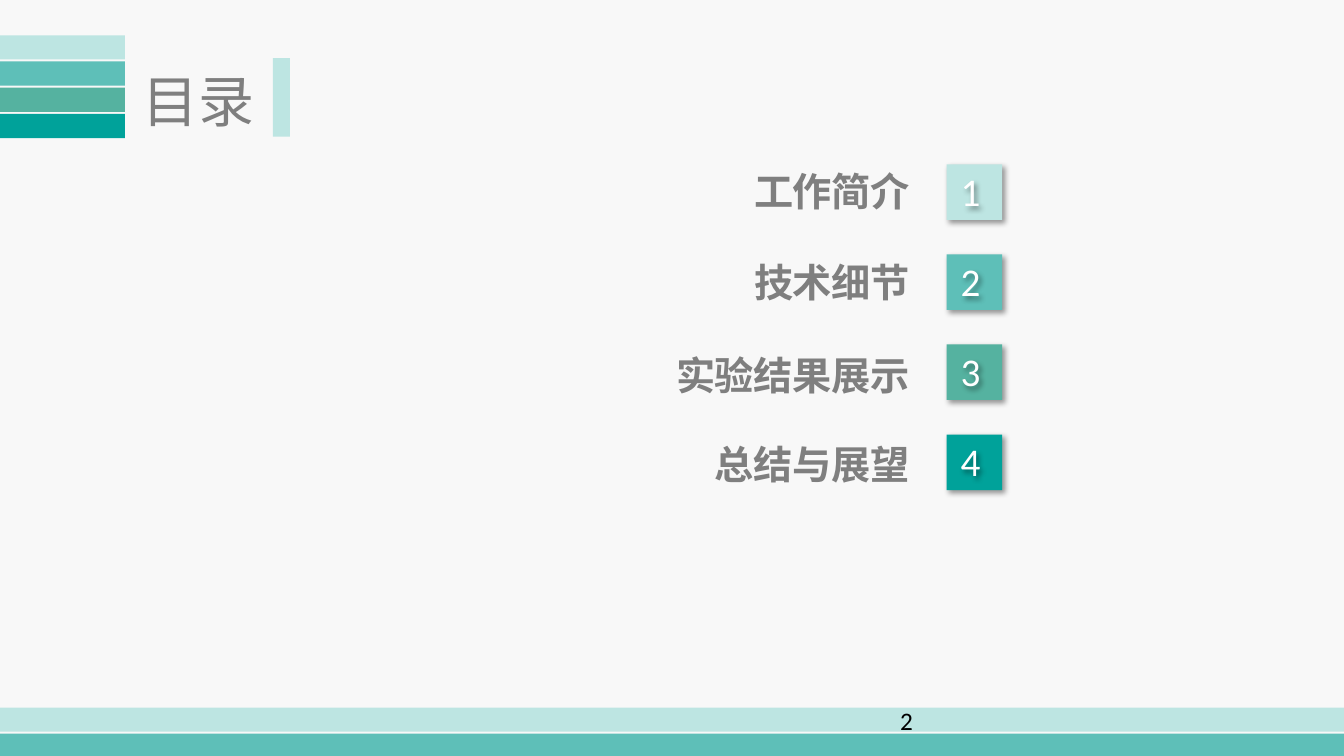
from lxml.etree import SubElement as Sub
from pptx import Presentation
from pptx.dml.color import RGBColor as Rgb
from pptx.enum.shapes import MSO_SHAPE as Kind
from pptx.enum.text import MSO_ANCHOR as Anchor, MSO_AUTO_SIZE as Fit, PP_ALIGN as Align
from pptx.oxml.ns import qn
from pptx.util import Cm, Pt

PALE = Rgb(0xBD, 0xE5, 0xE2)
AQUA = Rgb(0x5E, 0xBF, 0xB8)
SAGE = Rgb(0x55, 0xB2, 0xA0)
TEAL = Rgb(0x00, 0xA2, 0x9A)
BACK = Rgb(0xF8, 0xF8, 0xF8)
GREY = Rgb(0x7F, 0x7F, 0x7F)
WHITE = Rgb(0xFF, 0xFF, 0xFF)
BLACK = Rgb(0x00, 0x00, 0x00)
TONES = [PALE, AQUA, SAGE, TEAL]
HAN = "Noto Sans CJK SC"
LATIN = "Calibri"
WIDE, HIGH = 33.86, 19.05
BAR, STEP = 0.61, 0.66  # stripe height and pitch

# Label, top and width of each entry
ITEMS = [("工作简介", 4.09, 8.79), ("技术细节", 6.38, 7.77),
         ("实验结果展示", 8.74, 15.16), ("总结与展望", 10.97, 12.8)]


def block(slide, x, y, w, h, tone):
    shape = slide.shapes.add_shape(Kind.RECTANGLE, Cm(x), Cm(y), Cm(w), Cm(h))
    shape.shadow.inherit = False
    shape.fill.solid()
    shape.fill.fore_color.rgb = tone
    shape.line.fill.background()
    return shape


def shade(shape):
    """Soft shadow to the lower right."""
    shape.shadow.inherit = False
    list_ = shape.element.spPr.find(qn("a:effectLst"))
    outer = Sub(list_, qn("a:outerShdw"), blurRad=str(Pt(4)), dist=str(Pt(3)),
                dir="2700000", algn="tl", rotWithShape="0")
    color = Sub(outer, qn("a:srgbClr"), val="000000")
    Sub(color, qn("a:alpha"), val="40000")


def write(shape, text, size, tone, face, align=Align.LEFT, bold=False):
    frame = shape.text_frame
    frame.word_wrap = True
    frame.auto_size = Fit.NONE
    frame.vertical_anchor = Anchor.TOP
    para = frame.paragraphs[0]
    para.alignment = align
    run = para.add_run()
    run.text = text
    font = run.font
    font.size, font.bold, font.name = Pt(size), bold, face
    font.color.rgb = tone
    Sub(run._r.get_or_add_rPr(), qn("a:ea"), typeface=face)
    return run


def label(slide, x, y, w, h, *style):
    box = slide.shapes.add_textbox(Cm(x), Cm(y), Cm(w), Cm(h))
    return box, write(box, *style)


def stripes(slide, y, w, tones):
    for i, tone in enumerate(tones):
        block(slide, 0, y + i * STEP, w, BAR, tone)


def header(slide, y):
    stripes(slide, y, 3.15, TONES)
    title = slide.shapes.title
    title.left, title.top = Cm(0.71), Cm(y + 0.66)
    title.width, title.height = Cm(8.56), Cm(1.96)
    write(title, "目录", 40, GREY, HAN, Align.CENTER)
    # Upright bar after the title
    mark = block(slide, 6.1, y + 1.35, 1.98, 0.43, PALE)
    mark.rotation = 90


def agenda(slide, x, y):
    side, pitch, right = 1.4, 2.27, x - 0.67
    for i, ((text, top, w), tone) in enumerate(zip(ITEMS, TONES)):
        _, run = label(slide, right - w, top, w, 1.45, text, 28, GREY, HAN,
                       Align.RIGHT, True)
        run._r.get_or_add_rPr().set("spc", "-10")
        # Numbered square
        row = y + i * pitch
        shade(block(slide, x, row, side, side, tone))
        digit, _ = label(slide, x + 0.1, row - 0.05, 1.52, 1.45,
                         str(i + 1), 28, WHITE, LATIN)
        shade(digit)


def footer(slide, y):
    stripes(slide, y, WIDE, [PALE, AQUA])
    label(slide, 22.43, y - 0.18, 9.09, 1.02, "2", 18, BLACK, LATIN)


def main():
    deck = Presentation()
    deck.slide_width, deck.slide_height = Cm(WIDE), Cm(HIGH)
    slide = deck.slides.add_slide(deck.slide_layouts[5])
    fill = slide.background.fill
    fill.solid()
    fill.fore_color.rgb = BACK
    header(slide, 0.89)
    agenda(slide, 23.85, 4.14)
    footer(slide, 17.83)
    deck.save("out.pptx")


if __name__ == "__main__":
    main()
